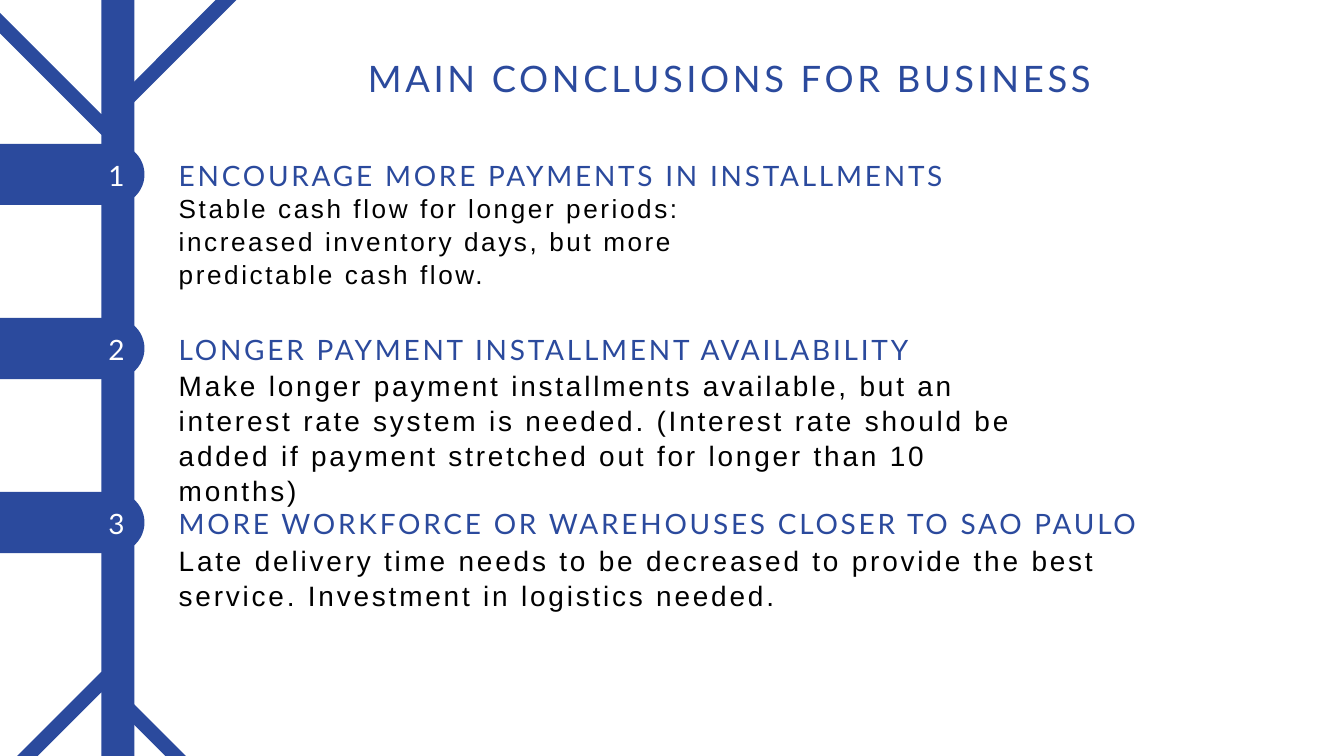
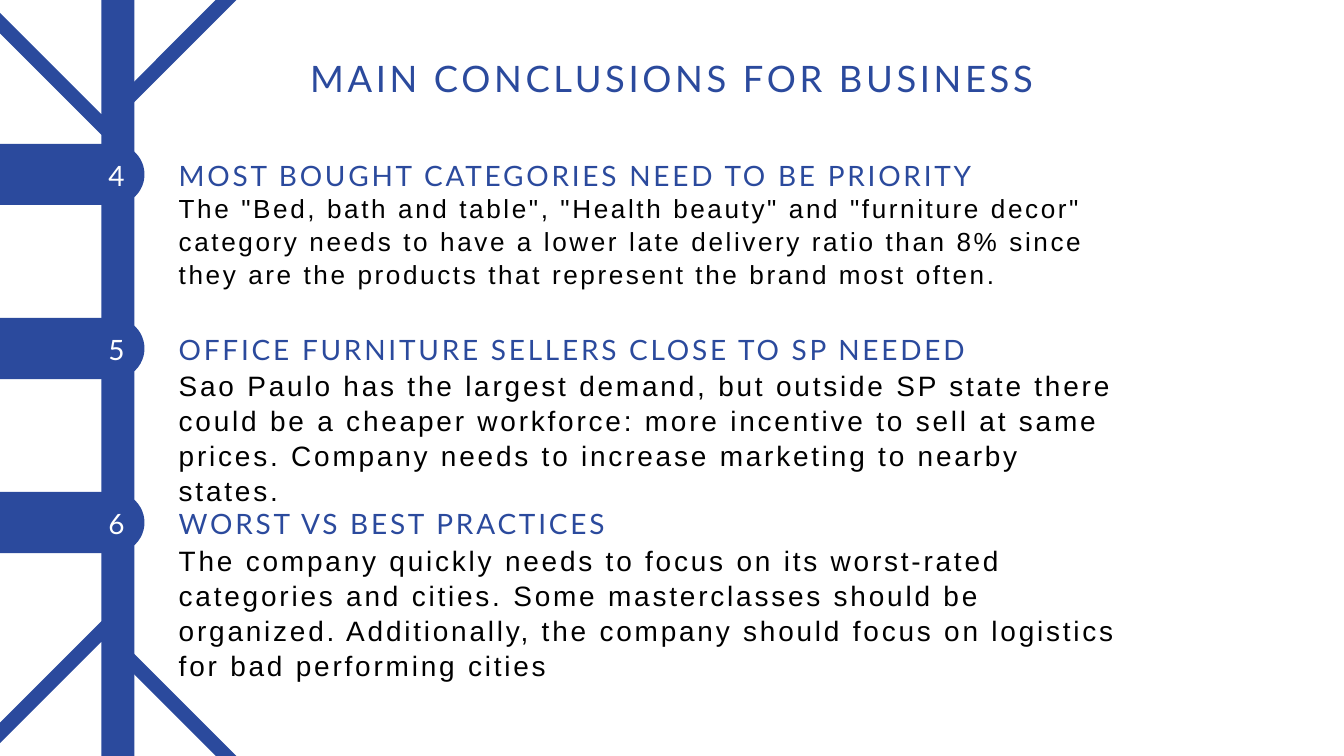
from pptx import Presentation
from pptx.dml.color import RGBColor
from pptx.enum import shapes, text
from pptx.util import Inches, Pt

BLUE = RGBColor(0x2B, 0x4A, 0x9D)
WHITE = RGBColor(0xFF, 0xFF, 0xFF)
BLACK = RGBColor(0x00, 0x00, 0x00)

HEADING = {"name": "Lato", "size": 30, "color": BLUE, "leading": 1.4}
NUMBER = {**HEADING, "color": WHITE}
TITLE = {**HEADING, "size": 39}
BODY = {"name": "Arial", "size": 30, "color": BLACK, "leading": 1.25}
FIRST_BODY = {**BODY, "size": 28}

SLIDE_WIDTH, SLIDE_HEIGHT = 20, 11.25
TEXT_LEFT = 2.66
TAB_TOP, HEADING_TOP, ROW_STEP = 1.52, 2.27, 2.59
BODY_TOP, BODY_STEP = 2.85, 2.61
BRACE_SIZE = 6.74
TITLE_TEXT = "MAIN CONCLUSIONS FOR BUSINESS"

# Each point: heading, heading width, body, body width, body lines
SLIDES = [
    {
        "title_left": 5.12,
        "lower_brace_top": 11.39,
        "points": [
            ("ENCOURAGE MORE PAYMENTS IN INSTALLMENTS", 14.17,
             "Stable cash flow for longer periods: increased inventory days, "
             "but more predictable cash flow.", 8.33, 3),
            ("LONGER PAYMENT INSTALLMENT AVAILABILITY", 12.23,
             "Make longer payment installments available, but an interest rate "
             "system is needed. (Interest rate should be added if payment "
             "stretched out for longer than 10 months)", 12.74, 3),
            ("MORE WORKFORCE OR WAREHOUSES CLOSER TO SAO PAULO", 17.34,
             "Late delivery time needs to be decreased to provide the best "
             "service. Investment in logistics needed.", 14.67, 2),
        ],
    },
    {
        "title_left": 4.26,
        "lower_brace_top": 10.64,
        "points": [
            ("MOST BOUGHT CATEGORIES NEED TO BE PRIORITY", 14.17,
             'The "Bed, bath and table", "Health beauty" and "furniture decor" '
             "category needs to have a lower late delivery ratio than 8% since "
             "they are the products that represent the brand most often.",
             14.17, 3),
            ("OFFICE FURNITURE SELLERS CLOSE TO SP NEEDED", 12.23,
             "Sao Paulo has the largest demand, but outside SP state there "
             "could be a cheaper workforce: more incentive to sell at same "
             "prices. Company needs to increase marketing to nearby states.",
             14.17, 3),
            ("WORST VS BEST PRACTICES", 9.76,
             "The company quickly needs to focus on its worst-rated categories "
             "and cities. Some masterclasses should be organized. "
             "Additionally, the company should focus on logistics for bad "
             "performing cities", 14.17, 3),
        ],
    },
]


class Deck:
    """Holds the presentation, the shared style and the current slide."""

    def __init__(self):
        self.presentation = Presentation()
        self.presentation.slide_width = Inches(SLIDE_WIDTH)
        self.presentation.slide_height = Inches(SLIDE_HEIGHT)
        self.slide = None

    def new_slide(self):
        self.slide = self.presentation.slides.add_slide(
            self.presentation.slide_layouts[6])
        background = self.slide.background.fill
        background.solid()
        background.fore_color.rgb = WHITE

    def blue_shape(self, preset, box, rotation=0, adjustments=()):
        shape = self.slide.shapes.add_shape(preset, *map(Inches, box))
        shape.shadow.inherit = False
        shape.fill.solid()
        shape.fill.fore_color.rgb = BLUE
        shape.line.fill.background()
        shape.rotation = rotation
        for index, value in enumerate(adjustments):
            shape.adjustments[index] = value

    def spine(self):
        self.blue_shape(shapes.MSO_SHAPE.RECTANGLE, (1.51, 0, 0.49, SLIDE_HEIGHT))

    def tab(self, top):
        """Add a tab from the left edge whose right end is round."""
        self.blue_shape(shapes.MSO_SHAPE.ROUND_2_SAME_RECTANGLE,
                        (0.62, top, 0.91, 2.15), 270, (0, 0.5))

    def brace(self, top):
        """Add a diamond outline that crosses the spine at a slide edge."""
        self.blue_shape(shapes.MSO_SHAPE.FRAME,
                        (-1.86, top, BRACE_SIZE, BRACE_SIZE), 45, (0.032,))

    def label(self, words, left, top, width, style, lines=1, centred=False):
        spacing = Pt(style["size"] * style["leading"])
        box = self.slide.shapes.add_textbox(
            Inches(left), Inches(top), Inches(width), spacing * lines)
        frame = box.text_frame
        frame_format = {
            "word_wrap": True,
            "auto_size": text.MSO_AUTO_SIZE.SHAPE_TO_FIT_TEXT,
            "margin_left": 0, "margin_top": 0,
            "margin_right": 0, "margin_bottom": 0,
        }
        for name, value in frame_format.items():
            setattr(frame, name, value)
        paragraph = frame.paragraphs[0]
        paragraph.line_spacing = spacing
        paragraph.alignment = text.PP_ALIGN.CENTER if centred else text.PP_ALIGN.LEFT
        run = paragraph.add_run()
        run.text = words
        for name, value in {"name": style["name"], "size": Pt(style["size"])}.items():
            setattr(run.font, name, value)
        run.font.color.rgb = style["color"]
        # Letter spacing is a tenth of the text size, in hundredths of a point
        run.font._element.set("spc", str(style["size"] * 10))

    def point(self, row, number, heading, heading_width, body, body_width, lines):
        heading_top = HEADING_TOP + row * ROW_STEP
        self.tab(TAB_TOP + row * ROW_STEP)
        self.label(body, TEXT_LEFT, BODY_TOP + row * BODY_STEP, body_width,
                   BODY if row else FIRST_BODY, lines)
        self.label(heading, TEXT_LEFT, heading_top, heading_width, HEADING)
        self.label(str(number), 1.47, heading_top, 0.53, NUMBER, centred=True)


def main():
    deck = Deck()
    number = 0
    for content in SLIDES:
        deck.new_slide()
        deck.spine()
        for row, point in enumerate(content["points"]):
            number += 1
            deck.point(row, number, *point)
        deck.brace(-6.13)
        deck.brace(content["lower_brace_top"])
        deck.label(TITLE_TEXT, content["title_left"], 0.72, 11.48, TITLE, centred=True)
    deck.presentation.save("out.pptx")


if __name__ == "__main__":
    main()
